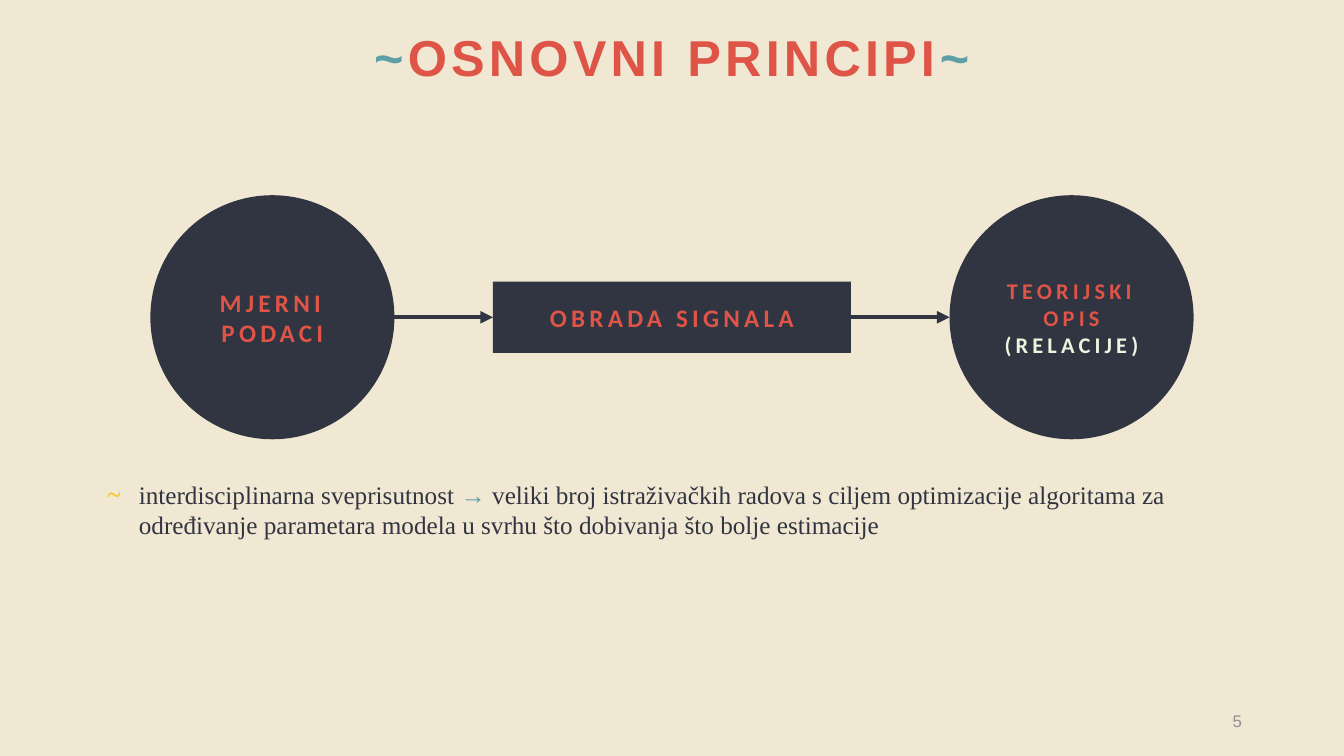
from dataclasses import dataclass

from lxml.etree import SubElement
from pptx import Presentation
from pptx.dml.color import RGBColor
from pptx.enum.shapes import MSO_CONNECTOR, MSO_SHAPE
from pptx.enum.text import MSO_ANCHOR, MSO_AUTO_SIZE, PP_ALIGN
from pptx.oxml.ns import qn
from pptx.util import Cm, Pt


@dataclass(frozen=True)
class Theme:
    """Colours, fonts and type sizes of the slide."""
    paper: str = "F0E8D3"
    dark: str = "313541"
    red: str = "DE5447"
    teal: str = "5D9FA7"
    pale: str = "EAF5DF"
    gold: str = "FFC000"
    grey: str = "909093"
    head: str = "Arial"
    label: str = "Calibri"
    body: str = "Times New Roman"
    big: int = 36
    mid: int = 18
    small: int = 16
    tiny: int = 12
    track: int = 300
    line: int = 3


THEME = Theme()


def tint(code):
    """Turn a hex code into a colour."""
    return RGBColor.from_string(code)


def write(para, parts, face, size, bold=False, align=PP_ALIGN.LEFT):
    """Fill a paragraph with (text, colour) parts; bold text is tracked."""
    para.alignment = align
    for text, color in parts:
        run = para.add_run()
        run.text = text
        font = run.font
        font.name, font.size, font.bold = face, Pt(size), bold
        font.color.rgb = tint(color)
        if bold:
            run._r.get_or_add_rPr().set("spc", str(THEME.track))


def title(slide, box):
    """Place the heading between two tildes."""
    shape = slide.shapes.title
    shape.left, shape.top, shape.width, shape.height = map(Cm, box)
    frame = shape.text_frame
    frame.auto_size = MSO_AUTO_SIZE.NONE
    frame.vertical_anchor = MSO_ANCHOR.TOP
    parts = [("~", THEME.teal), ("OSNOVNI PRINCIPI", THEME.red), ("~", THEME.teal)]
    write(frame.paragraphs[0], parts, THEME.head, THEME.big, True, PP_ALIGN.CENTER)


def node(slide, kind, box, rows, size):
    """Draw a dark shape with one centred paragraph per row."""
    shape = slide.shapes.add_shape(kind, *map(Cm, box))
    shape.shadow.inherit = False
    shape.fill.solid()
    shape.fill.fore_color.rgb = tint(THEME.dark)
    shape.line.fill.background()
    frame = shape.text_frame
    frame.word_wrap = True
    frame.vertical_anchor = MSO_ANCHOR.MIDDLE
    for i, row in enumerate(rows):
        para = frame.add_paragraph() if i else frame.paragraphs[0]
        write(para, [row], THEME.label, size, True, PP_ALIGN.CENTER)
    return shape


def arrow(slide, start, end, y):
    """Draw a level arrow from start to end."""
    link = slide.shapes.add_connector(
        MSO_CONNECTOR.STRAIGHT, Cm(start), Cm(y), Cm(end), Cm(y))
    link.line.color.rgb = tint(THEME.dark)
    link.line.width = Pt(THEME.line)
    SubElement(link.line._get_or_add_ln(), qn("a:tailEnd"), type="triangle")
    SubElement(link._element.spPr, qn("a:effectLst"))
    return link


def flow(slide, box):
    """Draw circle, block and circle joined by arrows across the box."""
    left, top, width, size = box
    wide, high = 9.02, 1.8
    mid = top + size / 2
    right = left + width
    start = left + (width - wide) / 2
    node(slide, MSO_SHAPE.OVAL, (left, top, size, size),
         [("MJERNI PODACI", THEME.red)], THEME.mid)
    node(slide, MSO_SHAPE.OVAL, (right - size, top, size, size),
         [("TEORIJSKI OPIS", THEME.red), ("(RELACIJE)", THEME.pale)], THEME.small)
    block = node(slide, MSO_SHAPE.RECTANGLE, (start, mid - high / 2, wide, high),
                 [("OBRADA SIGNALA", THEME.red)], THEME.mid)
    arrow(slide, left + size, start, mid).end_connect(block, 1)
    arrow(slide, start + wide, right - size, mid).begin_connect(block, 3)


def note(slide, box):
    """Place the bulleted remark under the flow."""
    frame = slide.shapes.add_textbox(*map(Cm, box)).text_frame
    frame.word_wrap = True
    para = frame.paragraphs[0]
    props = para._p.get_or_add_pPr()
    indent = Cm(0.79)
    props.set("marL", str(indent))
    props.set("indent", str(-indent))
    color = SubElement(props, qn("a:buClr"))
    SubElement(color, qn("a:srgbClr"), val=THEME.gold)
    SubElement(props, qn("a:buFont"), typeface=THEME.body)
    SubElement(props, qn("a:buChar"), char="~")
    parts = [
        ("interdisciplinarna sveprisutnost ", THEME.dark),
        ("→", THEME.teal),
        (" veliki broj istraživačkih radova s ciljem optimizacije algoritama za "
         "određivanje parametara modela u svrhu što dobivanja što bolje estimacije",
         THEME.dark),
    ]
    write(para, parts, THEME.body, THEME.mid)


def number(slide, box):
    """Place the slide number."""
    frame = slide.shapes.add_textbox(*map(Cm, box)).text_frame
    frame.word_wrap = True
    frame.vertical_anchor = MSO_ANCHOR.MIDDLE
    write(frame.paragraphs[0], [("5", THEME.grey)], THEME.head, THEME.tiny,
          align=PP_ALIGN.RIGHT)


def main():
    """Build the slide and save it."""
    deck = Presentation()
    deck.slide_width, deck.slide_height = Cm(33.87), Cm(19.05)
    slide = deck.slides.add_slide(deck.slide_layouts[5])
    fill = slide.background.fill
    fill.solid()
    fill.fore_color.rgb = tint(THEME.paper)
    title(slide, (8.41, 0.53, 17.04, 1.8))
    flow(slide, (3.79, 4.92, 26.29, 6.15))
    note(slide, (2.46, 11.96, 28.96, 1.8))
    number(slide, (23.93, 17.65, 7.62, 1.02))
    deck.save("out.pptx")


if __name__ == "__main__":
    main()
